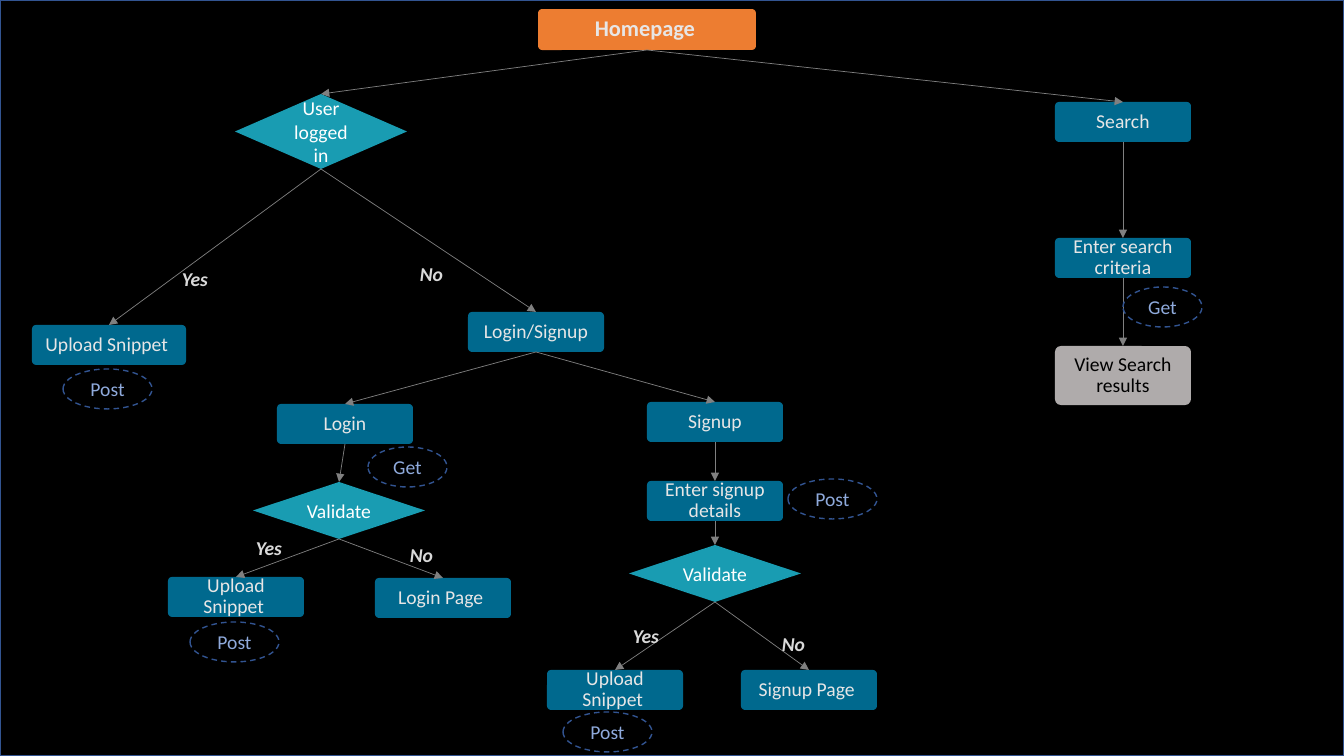
from pptx import Presentation
from pptx.dml.color import RGBColor
from pptx.enum.dml import MSO_LINE
from pptx.enum.shapes import MSO_CONNECTOR, MSO_SHAPE
from pptx.enum.text import MSO_ANCHOR, MSO_AUTO_SIZE, PP_ALIGN
from pptx.oxml.ns import qn
from pptx.util import Pt
from lxml.etree import SubElement

COLORS = {
    "black": "000000", "outline": "325491", "home": "ED7D31",
    "step": "00698E", "decision": "199CB2", "result": "AFABAB",
    "light": "E7E6E6", "white": "FFFFFF", "label": "D9D9D9",
    "method": "8FAADC", "arrow": "808080",
}
SCALE = 12192000 / 1344
BOTTOM, TOP = 2, 0


def place(kind, bounds, fill=None, line=None):
    shape = page.shapes.add_shape(kind, *[round(n * SCALE) for n in bounds])
    shape.shadow.inherit = False
    if fill:
        shape.fill.solid()
        shape.fill.fore_color.rgb = RGBColor.from_string(COLORS[fill])
    else:
        shape.fill.background()
    if line:
        shape.line.color.rgb = RGBColor.from_string(COLORS[line])
        shape.line.width = Pt(1)
    else:
        shape.line.fill.background()
    return shape


def write(shape, text, color, size=14, bold=False, italic=False, inset=None, spacing=None):
    frame = shape.text_frame
    frame.text = text
    frame.word_wrap = True
    frame.auto_size = MSO_AUTO_SIZE.NONE
    frame.vertical_anchor = MSO_ANCHOR.MIDDLE
    if inset is not None:
        frame.margin_left = frame.margin_right = round(inset * SCALE)
        frame.margin_top = frame.margin_bottom = round(6 * SCALE)
    para = frame.paragraphs[0]
    para.alignment = PP_ALIGN.CENTER
    if spacing:
        para.line_spacing = spacing
    span = para.runs[0]
    span.font.name = "Calibri"
    span.font.size = Pt(size)
    span.font.bold = bold
    span.font.italic = italic
    span.font.color.rgb = RGBColor.from_string(COLORS[color])


deck = Presentation()
deck.slide_width = round(1344 * SCALE)
deck.slide_height = round(756 * SCALE)
page = deck.slides.add_slide(deck.slide_layouts[5])

place(MSO_SHAPE.RECTANGLE, (0, 0, 1344, 756), "black", "outline")

nodes = {"home": place(MSO_SHAPE.ROUNDED_RECTANGLE, (538, 9, 218, 41), "home")}
nodes["home"].adjustments[0] = 0.1
title = page.shapes.title
title.left, title.top, title.width, title.height = [
    round(n * SCALE) for n in (542, 10, 211, 38)]
write(title, "Homepage ", "light", size=16, bold=True, inset=6, spacing=0.9)
title.element.getparent().append(title.element)

steps = [
    ("upload", "Upload Snippet ", 32, 325, 154, 40),
    ("login or signup", "Login/Signup", 468, 312, 136, 40),
    ("login", "Login", 277, 404, 136, 40),
    ("login upload", "Upload Snippet ", 168, 577, 136, 40),
    ("login page", "Login Page ", 375, 578, 136, 40),
    ("signup", "Signup", 647, 402, 136, 40),
    ("signup details", "Enter signup details", 647, 481, 136, 40),
    ("signup upload", "Upload Snippet ", 547, 670, 136, 40),
    ("signup page", "Signup Page ", 741, 670, 136, 40),
    ("search", "Search", 1055, 102, 136, 40),
    ("criteria", "Enter search criteria", 1055, 238, 136, 40),
    ("results", "View Search results", 1055, 346, 136, 59),
]
for name, text, *bounds in steps:
    is_result = name == "results"
    box = place(MSO_SHAPE.ROUNDED_RECTANGLE, bounds, "result" if is_result else "step")
    box.adjustments[0] = 0.1
    write(box, text, "black" if is_result else "light", inset=7, spacing=0.9)
    nodes[name] = box

decisions = [
    ("logged in", "User logged in", 235, 94, 172, 75),
    ("login check", "Validate", 253, 482, 172, 57),
    ("signup check", "Validate", 629, 545, 172, 57),
]
for name, text, *bounds in decisions:
    nodes[name] = place(MSO_SHAPE.DIAMOND, bounds, "decision")
    write(nodes[name], text, "white")

flows = [
    ("home", "logged in"), ("home", "search"),
    ("logged in", "upload"), ("logged in", "login or signup"),
    ("login or signup", "login"), ("login or signup", "signup"),
    ("login", "login check"),
    ("login check", "login upload"), ("login check", "login page"),
    ("signup", "signup details"), ("signup details", "signup check"),
    ("signup check", "signup upload"), ("signup check", "signup page"),
    ("search", "criteria"), ("criteria", "results"),
]
for source, target in flows:
    arrow = page.shapes.add_connector(MSO_CONNECTOR.STRAIGHT, 0, 0, 0, 0)
    arrow.begin_connect(nodes[source], BOTTOM)
    arrow.end_connect(nodes[target], TOP)
    arrow.line.color.rgb = RGBColor.from_string(COLORS["arrow"])
    arrow.line.width = Pt(0.5)
    SubElement(arrow.line._get_or_add_ln(), qn("a:tailEnd"), type="triangle")
    SubElement(arrow.element.spPr, qn("a:effectLst"))

answers = [
    ("Yes", 172, 262), ("No", 410, 257),
    ("Yes", 246, 531), ("No", 400, 538),
    ("Yes", 623, 619), ("No", 772, 627),
]
for text, left, top in answers:
    width = 48 if text == "Yes" else 45
    box = page.shapes.add_textbox(*[round(n * SCALE) for n in (left, top, width, 34)])
    write(box, text, "label", bold=True, italic=True)
    box.text_frame.word_wrap = False
    box.text_frame.paragraphs[0].alignment = PP_ALIGN.LEFT

methods = [
    ("Get", 368, 447), ("Get", 1123, 287),
    ("Post", 190, 622), ("Post", 63, 369),
    ("Post", 563, 712), ("Post", 788, 479),
]
for text, left, top in methods:
    width = 79 if text == "Get" else 89
    oval = place(MSO_SHAPE.OVAL, (left, top, width, 40), line="outline")
    oval.line.dash_style = MSO_LINE.DASH
    write(oval, text, "method")

deck.save("out.pptx")
